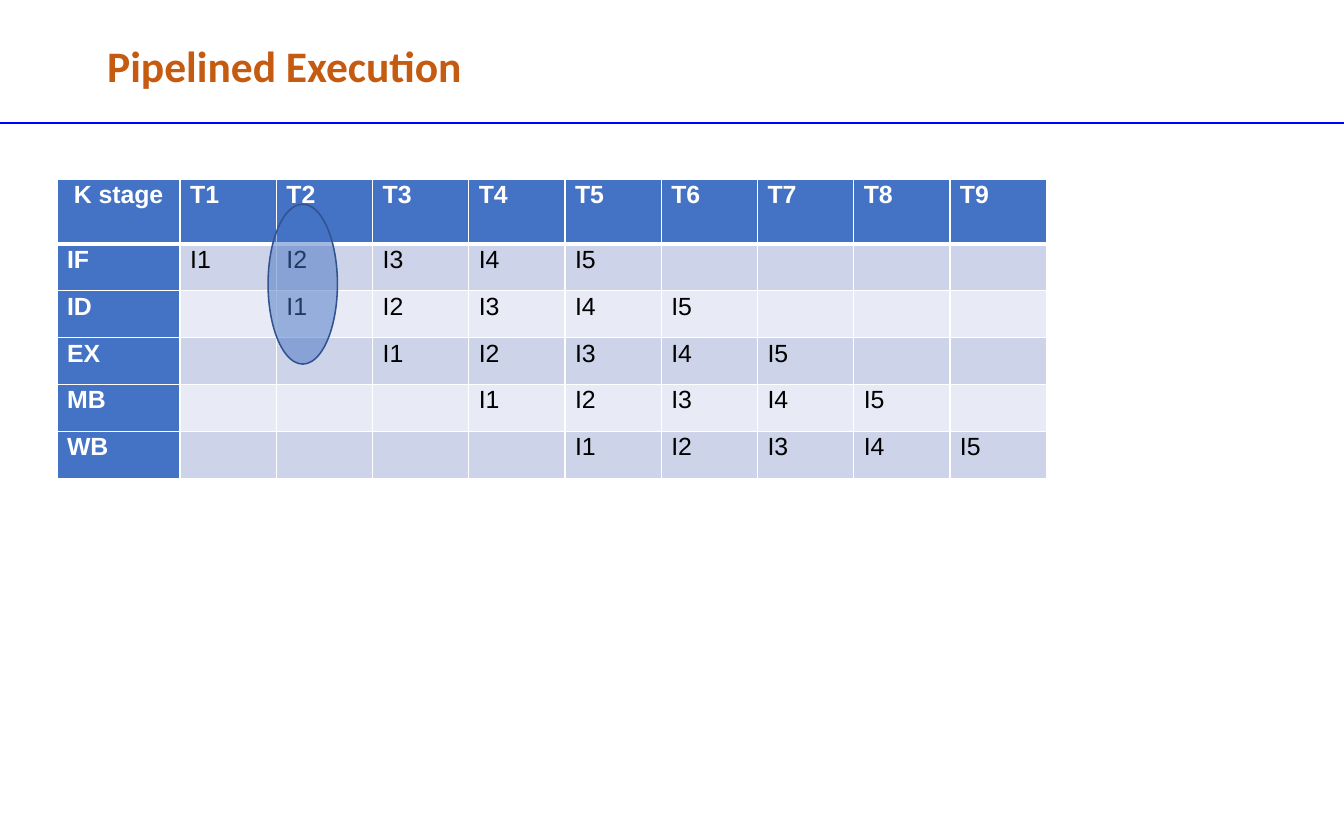
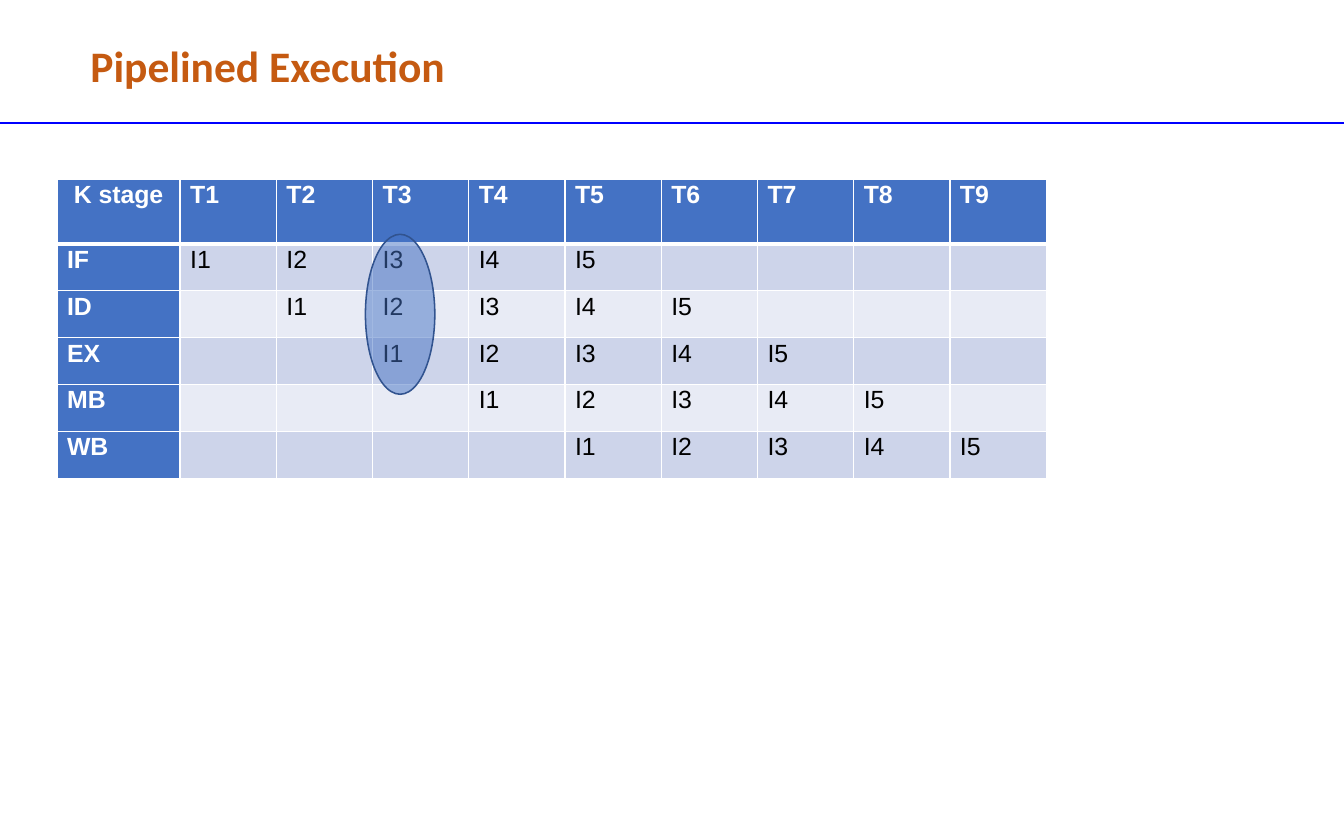
from dataclasses import dataclass

from lxml import etree
from pptx import Presentation
from pptx.dml.color import RGBColor
from pptx.enum.shapes import MSO_CONNECTOR, MSO_SHAPE
from pptx.enum.text import MSO_AUTO_SIZE, PP_ALIGN
from pptx.oxml.ns import qn
from pptx.util import Inches, Pt

STRAIGHT = MSO_CONNECTOR.STRAIGHT
OVAL = MSO_SHAPE.OVAL
FIT_SHAPE = MSO_AUTO_SIZE.SHAPE_TO_FIT_TEXT
LEFT, CENTER = PP_ALIGN.LEFT, PP_ALIGN.CENTER

SLIDE_W, SLIDE_H = 12.01, 7.5
BLANK_LAYOUT = 6

# Pipeline content
STAGES = ["IF", "ID", "EX", "MB", "WB"]
INSTRUCTIONS = 5
CYCLES = len(STAGES) + INSTRUCTIONS - 1


@dataclass(frozen=True)
class Theme:
    title: str = "C55A11"
    rule: str = "0000FF"
    accent: str = "4472C4"
    accent_edge: str = "31538F"
    bands: tuple = ("CDD4EA", "E8EBF5")
    white: str = "FFFFFF"
    black: str = "000000"
    title_font: str = "Calibri"
    body_font: str = "Arial"
    title_size: int = 28
    body_size: int = 16


def write_text(frame, text, *, font, size, color, bold=False, align=LEFT, spacing=None):
    """Put one formatted paragraph into a text frame."""
    paragraph = frame.paragraphs[0]
    paragraph.alignment = align
    if spacing:
        paragraph.line_spacing = spacing
    run = paragraph.add_run()
    run.text = text
    run.font.name = font
    run.font.size = Pt(size)
    run.font.bold = bold
    run.font.color.rgb = RGBColor.from_string(color)


def pipeline_rows():
    """Instruction i enters stage s in cycle i + s."""
    rows = [["K stage"] + [f"T{cycle}" for cycle in range(1, CYCLES + 1)]]
    for delay, stage in enumerate(STAGES):
        numbers = [cycle - delay for cycle in range(1, CYCLES + 1)]
        rows.append([stage] + [f"I{n}" if 1 <= n <= INSTRUCTIONS else "" for n in numbers])
    return rows


class Deck:
    def __init__(self, theme):
        self.theme = theme
        self.prs = Presentation()
        self.prs.slide_width, self.prs.slide_height = Inches(SLIDE_W), Inches(SLIDE_H)
        self.slide = None

    def new_slide(self):
        self.slide = self.prs.slides.add_slide(self.prs.slide_layouts[BLANK_LAYOUT])
        self.rule(1.1)

    def rule(self, y):
        rule = self.slide.shapes.add_connector(
            STRAIGHT, Inches(0), Inches(y), Inches(SLIDE_W), Inches(y))
        rule.line.color.rgb = RGBColor.from_string(self.theme.rule)
        rule.line.width = Pt(0.75)
        etree.SubElement(rule._element.spPr, qn("a:effectLst"))

    def title(self, text, left):
        heading = self.slide.shapes.add_textbox(
            Inches(left), Inches(0.3), Inches(4.09), Inches(0.57))
        heading.text_frame.word_wrap = True
        heading.text_frame.auto_size = FIT_SHAPE
        write_text(heading.text_frame, text, font=self.theme.title_font,
                   size=self.theme.title_size, color=self.theme.title, bold=True)

    def border(self, cell, side, width):
        line = etree.SubElement(cell._tc.get_or_add_tcPr(), qn(f"a:ln{side}"), w=str(Pt(width)))
        fill = etree.SubElement(line, qn("a:solidFill"))
        etree.SubElement(fill, qn("a:srgbClr"), val=self.theme.white)

    def cell(self, cell, text, row, col):
        theme = self.theme
        is_header = row == 0 or col == 0
        cell.margin_left = cell.margin_right = Inches(0.09)
        cell.margin_top = cell.margin_bottom = 0

        # Borders come before the fill; the line under the header is heavier
        heavy_side = {0: "B", 1: "T"}.get(row)
        for side in "LRTB":
            self.border(cell, side, 3 if side == heavy_side else 1)
        cell.fill.solid()
        cell.fill.fore_color.rgb = RGBColor.from_string(
            theme.accent if is_header else theme.bands[(row - 1) % 2])

        if text:
            write_text(cell.text_frame, text, font=theme.body_font, size=theme.body_size,
                       color=theme.white if is_header else theme.black, bold=is_header,
                       align=CENTER if row == col == 0 else LEFT, spacing=1.07)

    def table(self, rows, left, top, col_widths, row_heights):
        grid = self.slide.shapes.add_table(
            len(rows), len(rows[0]), Inches(left), Inches(top),
            Inches(sum(col_widths)), Inches(sum(row_heights))).table
        for column, width in zip(grid.columns, col_widths):
            column.width = Inches(width)
        for r, (texts, height) in enumerate(zip(rows, row_heights)):
            grid.rows[r].height = Inches(height)
            for c, text in enumerate(texts):
                self.cell(grid.cell(r, c), text, r, c)

    def highlight(self, left, top):
        ring = self.slide.shapes.add_shape(
            OVAL, Inches(left), Inches(top), Inches(1.43), Inches(0.62))
        ring.rotation = 90
        ring.shadow.inherit = False
        ring.fill.solid()
        ring.fill.fore_color.rgb = RGBColor.from_string(self.theme.accent)
        color = ring._element.spPr.find(f"{qn('a:solidFill')}/{qn('a:srgbClr')}")
        etree.SubElement(color, qn("a:alpha"), val="50000")
        ring.line.color.rgb = RGBColor.from_string(self.theme.accent_edge)
        ring.line.width = Pt(1)


def main():
    deck = Deck(Theme())
    # Title left edge and highlight position on each slide
    for title_left, highlight_at in [(0.86, (1.99, 2.23)), (0.71, (2.86, 2.5))]:
        deck.new_slide()
        deck.table(pipeline_rows(), 0.51, 1.6,
                   [1.1] + [0.86] * CYCLES, [0.58] + [0.42] * len(STAGES))
        deck.highlight(*highlight_at)
        deck.title("Pipelined Execution", title_left)
    deck.prs.save("out.pptx")


if __name__ == "__main__":
    main()
